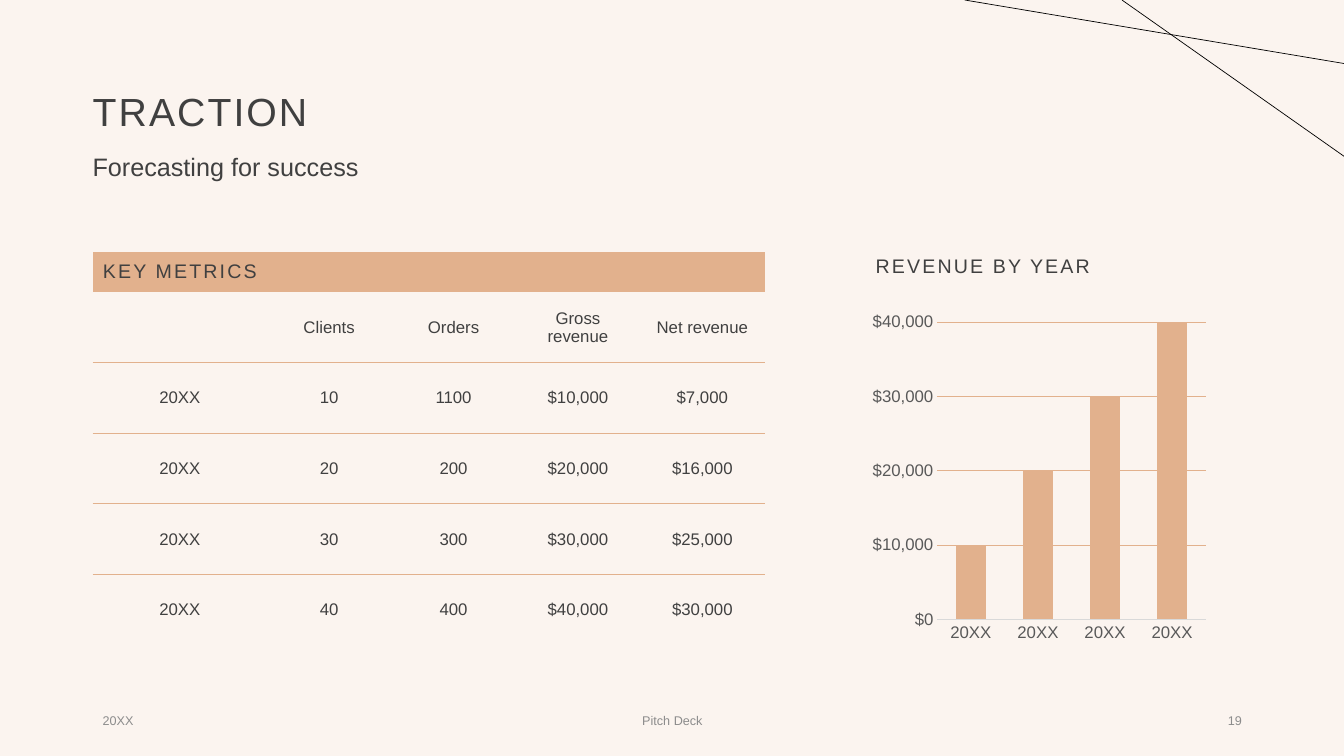
from pptx import Presentation
from pptx.chart.data import CategoryChartData
from pptx.dml.color import RGBColor
from pptx.enum.chart import XL_CHART_TYPE as CHART, XL_TICK_MARK as TICK
from pptx.enum.shapes import MSO_CONNECTOR as CONN
from pptx.enum.text import MSO_ANCHOR as ANCHOR, PP_ALIGN as ALIGN
from pptx.oxml import parse_xml
from pptx.oxml.ns import nsdecls, qn
from pptx.util import Inches, Pt
from lxml.etree import SubElement

NO_STYLE = "{2D5ABB26-0587-4C30-8999-92F81FD0307C}"
DOLLARS = "[$$-409]#,##0"


def rgb(value):
    return RGBColor.from_string(value)


class Deck:
    """Style and current slide; lengths are percentages of the slide's size."""
    font, ink, muted, axis = "Arial", "404040", "8C8C8C", "595959"
    accent, paper, baseline = "E2B18D", "FBF4EF", "D9D9D9"

    def __init__(self):
        self.prs = Presentation()
        self.prs.slide_width, self.prs.slide_height = Inches(13.333), Inches(7.5)
        self.slide = self.prs.slides.add_slide(self.prs.slide_layouts[6])
        self.slide.background.fill.solid()
        self.slide.background.fill.fore_color.rgb = rgb(self.paper)
        self.shapes = self.slide.shapes

    def x(self, share):
        return round(self.prs.slide_width * share / 100)

    def y(self, share):
        return round(self.prs.slide_height * share / 100)

    def box(self, left, top, width, height):
        return self.x(left), self.y(top), self.x(width), self.y(height)

    def paragraph(self, p, text, size, color=None, align=ALIGN.LEFT, tracking=0):
        p.text = text
        p.alignment = align
        f = p.font
        f.name, f.size, f.color.rgb = self.font, Pt(size), rgb(color or self.ink)
        if tracking:
            p.runs[0]._r.get_or_add_rPr().set("spc", str(round(tracking * 100)))

    def text(self, place, text, size, anchor=ANCHOR.TOP, inset=0.1, spacing=None, **look):
        tf = self.shapes.add_textbox(*self.box(*place)).text_frame
        tf.word_wrap = True
        tf.vertical_anchor = anchor
        tf.margin_left = Inches(inset)
        p = tf.paragraphs[0]
        self.paragraph(p, text, size, **look)
        if spacing:
            p.line_spacing = spacing

    def table(self, place, heading, rows, widths, heights):
        frame = self.shapes.add_table(len(rows) + 1, len(widths), *self.box(*place))
        table = frame.table
        table.first_row = table.horz_banding = False
        next(frame._element.iter(qn("a:tableStyleId"))).text = NO_STYLE
        for column, width in zip(table.columns, widths):
            column.width = self.x(width)
        for row, height in zip(table.rows, heights):
            row.height = self.y(height)
        for cell in table.rows[0].cells:
            cell.fill.solid()
            cell.fill.fore_color.rgb = rgb(self.accent)
        title = table.cell(0, 0)
        title.vertical_anchor = ANCHOR.MIDDLE
        self.paragraph(title.text_frame.paragraphs[0], heading, 14,
                       align=ALIGN.RIGHT, tracking=1.5)
        for i, values in enumerate(rows, 1):
            for j, value in enumerate(values):
                cell = table.cell(i, j)
                cell.fill.background()
                cell.vertical_anchor = ANCHOR.MIDDLE
                self.paragraph(cell.text_frame.paragraphs[0], value, 12, align=ALIGN.CENTER)
                if i < len(rows):
                    self.underline(cell)

    def underline(self, cell):
        cell._tc.get_or_add_tcPr().insert(0, parse_xml(
            f'<a:lnB {nsdecls("a")} w="{Pt(1)}"><a:solidFill>'
            f'<a:srgbClr val="{self.accent}"/></a:solidFill></a:lnB>'))

    def columns(self, place, categories, name, values, top, step):
        data = CategoryChartData(number_format=DOLLARS)
        data.categories = categories
        data.add_series(name, values)
        chart = self.shapes.add_chart(CHART.COLUMN_CLUSTERED, *self.box(*place), data).chart
        chart.has_legend = chart.has_title = False
        chart.font.name, chart.font.size = self.font, Pt(12)
        chart.font.color.rgb = rgb(self.axis)
        plot = chart.plots[0]
        plot.gap_width, plot.overlap, plot.vary_by_categories = 118, -3, False
        fill = plot.series[0].format.fill
        fill.solid()
        fill.fore_color.rgb = rgb(self.accent)
        cat, val = chart.category_axis, chart.value_axis
        for axis in (cat, val):
            axis.major_tick_mark = axis.minor_tick_mark = TICK.NONE
        self.stroke(cat.format.line, self.baseline, 0.75)
        val.format.line.fill.background()
        val.minimum_scale, val.maximum_scale, val.major_unit = 0, top, step
        val.has_major_gridlines = True
        self.stroke(val.major_gridlines.format.line, self.accent, 0.75)
        val.tick_labels.number_format = DOLLARS
        val.tick_labels.number_format_is_linked = False

    def stroke(self, line, color, width):
        line.color.rgb = rgb(color)
        line.width = Pt(width)

    def line(self, x1, y1, x2, y2):
        sp = self.shapes.add_connector(
            CONN.STRAIGHT, self.x(x1), self.y(y1), self.x(x2), self.y(y2))
        self.stroke(sp.line, "000000", 0.5)
        SubElement(sp._element.spPr, qn("a:effectLst"))


def main():
    deck = Deck()
    margin, body_top, chart_left, chart_width = 6.9, 33.33, 64.42, 25.8
    deck.text((margin, 5.33, 86.25, 19.33), "TRACTION", 28, ANCHOR.MIDDLE,
              inset=0, spacing=0.9, tracking=1.5)
    deck.text((6.15, 19.87, 55.5, 7.2), "Forecasting for success", 18, spacing=0.9)

    metrics = [
        ("", "Clients", "Orders", "Gross revenue", "Net revenue"),
        ("20XX", "10", "1100", "$10,000", "$7,000"),
        ("20XX", "20", "200", "$20,000", "$16,000"),
        ("20XX", "30", "300", "$30,000", "$25,000"),
        ("20XX", "40", "400", "$40,000", "$30,000"),
    ]
    deck.table((margin, body_top, 50, 51.07), "KEY METRICS", metrics,
               [12.96] + [9.26] * 4, [4.53] + [9.33] * 5)

    deck.text((chart_left, body_top, chart_width, 4.53), "REVENUE BY YEAR", 14,
              spacing=0.9, tracking=1.5)
    deck.columns((chart_left, 40.53, chart_width, 45.2), ["20XX"] * 4, "Series 1",
                 [10000, 20000, 30000, 40000], 40000, 10000)

    for left, width, label, align in (
            (margin, 22.5, "20XX", ALIGN.LEFT),
            (33.15, 33.75, "Pitch Deck", ALIGN.CENTER),
            (70.65, 22.5, "19", ALIGN.RIGHT)):
        deck.text((left, 92.67, width, 5.33), label, 9, ANCHOR.MIDDLE,
                  color=deck.muted, align=align)

    deck.line(83.48, 0, 100, 20.67)
    deck.line(71.78, 0, 100, 8.4)
    deck.prs.save("out.pptx")


if __name__ == "__main__":
    main()
